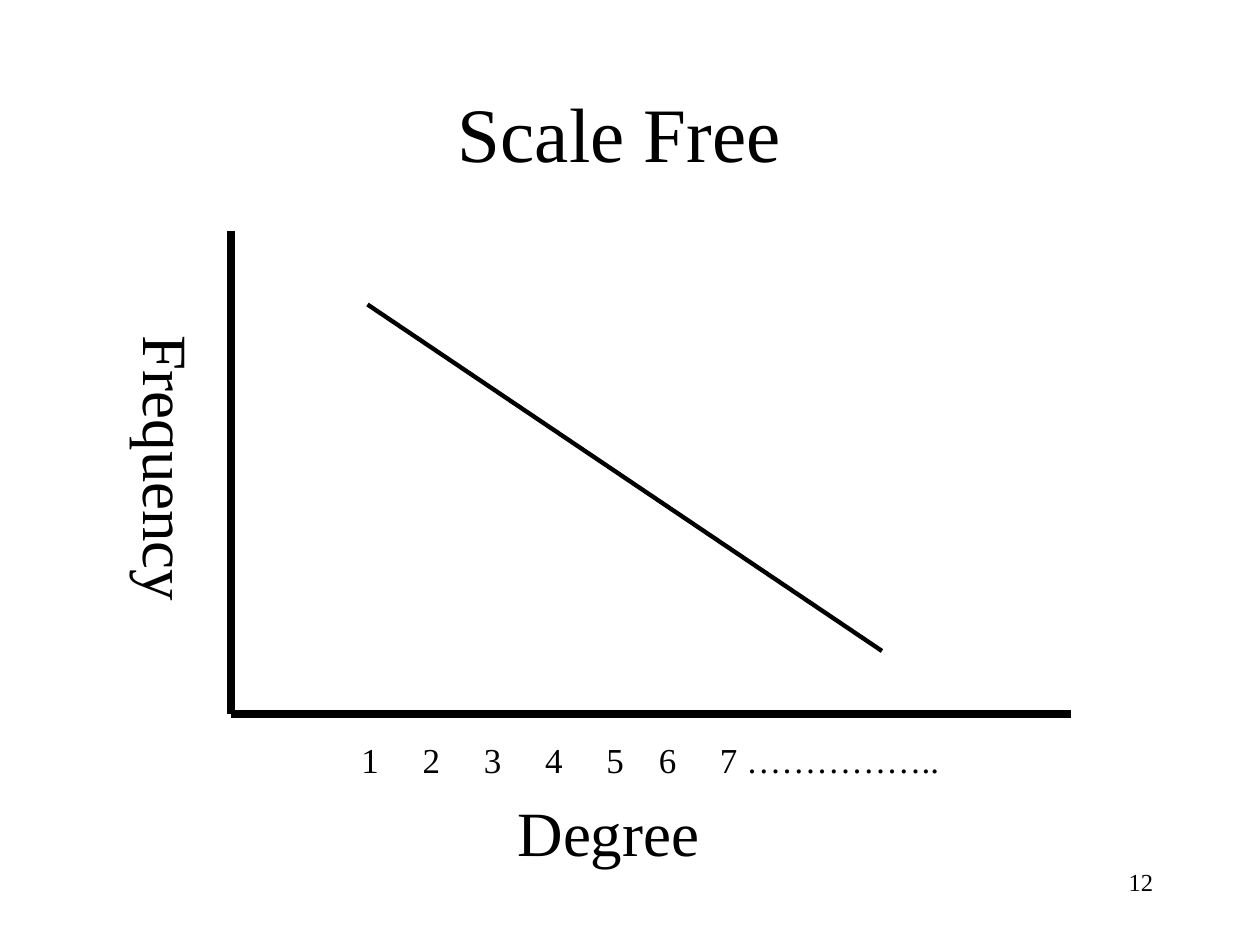
from lxml import etree
from pptx import Presentation
from pptx.dml.color import RGBColor
from pptx.enum.shapes import MSO_CONNECTOR
from pptx.enum.text import MSO_ANCHOR, PP_ALIGN
from pptx.oxml.ns import qn
from pptx.util import Inches, Pt

STRAIGHT = MSO_CONNECTOR.STRAIGHT
TOP, MIDDLE = MSO_ANCHOR.TOP, MSO_ANCHOR.MIDDLE
LEFT, CENTER, RIGHT = PP_ALIGN.LEFT, PP_ALIGN.CENTER, PP_ALIGN.RIGHT
COLUMNS, ROWS = 120, 90
FONT, INK, PAPER = "Times New Roman", "000000", "FFFFFF"


def color(value):
    """Turn a hex string into a colour."""
    return RGBColor.from_string(value)


def write(frame, text, size, align=LEFT, anchor=TOP, wrap=False):
    """Write one formatted paragraph into a text frame and return it."""
    frame.word_wrap = wrap
    frame.vertical_anchor = anchor
    paragraph = frame.paragraphs[0]
    paragraph.alignment = align
    run = paragraph.add_run()
    run.text = text
    run.font.name = FONT
    run.font.size = Pt(size)
    run.font.color.rgb = color(INK)
    return paragraph


class Canvas:
    """Place elements on a slide by grid columns and rows."""

    def __init__(self, presentation):
        """Add a blank slide and size its grid."""
        self.slide = presentation.slides.add_slide(presentation.slide_layouts[6])
        self.slide.background.fill.solid()
        self.slide.background.fill.fore_color.rgb = color(PAPER)
        self.column = presentation.slide_width / COLUMNS
        self.row = presentation.slide_height / ROWS

    def place(self, column, row):
        """Convert a grid position to slide lengths."""
        return round(column * self.column), round(row * self.row)

    def label(self, position, size, text, font_size, rotation=0, **style):
        """Add a text box and return its paragraph."""
        shape = self.slide.shapes.add_textbox(*self.place(*position), *self.place(*size))
        shape.rotation = rotation
        return write(shape.text_frame, text, font_size, **style)

    def ticks(self, position, size, text, font_size, stops):
        """Add a row of tick labels spread over tab stops."""
        paragraph = self.label(position, size, text, font_size)
        properties = paragraph._p.get_or_add_pPr()
        tab_list = etree.SubElement(properties, qn("a:tabLst"))
        for stop in stops:
            offset = str(round(stop * self.column))
            etree.SubElement(tab_list, qn("a:tab"), pos=offset, algn="l")

    def line(self, start, end, width):
        """Add a straight line without a shadow."""
        connector = self.slide.shapes.add_connector(
            STRAIGHT, *self.place(*start), *self.place(*end))
        connector.line.color.rgb = color(INK)
        connector.line.width = Pt(width)
        etree.SubElement(connector._element.spPr, qn("a:effectLst"))


def main():
    """Build the slide and save it."""
    presentation = Presentation()
    presentation.slide_width, presentation.slide_height = Inches(10), Inches(7.5)
    canvas = Canvas(presentation)

    canvas.label((8, 5), (102, 15), "Scale Free", 44, align=CENTER, anchor=MIDDLE, wrap=True)
    canvas.label((86, 82), (25, 6), "12", 14, align=RIGHT, wrap=True)

    origin = (22, 68)
    canvas.line((22, 22), origin, 5)
    canvas.line((102, 68), origin, 5)
    canvas.line((35, 29), (84, 62), 2.5)

    canvas.label((2.16, 40.44), (27.72, 8.4), "Frequency", 36, rotation=90)
    canvas.label((48.12, 75), (19.68, 8.4), "Degree", 36)

    step, short_step = 5.83, 5
    stops = [step * index for index in range(1, 5)]
    stops += [stops[-1] + short_step, stops[-1] + short_step + step]
    canvas.ticks((33.24, 69.72), (57.48, 5.28),
                 "1\t2\t3\t4\t5\t6\t7 ……………..", 20, stops)

    presentation.save("out.pptx")


if __name__ == "__main__":
    main()
